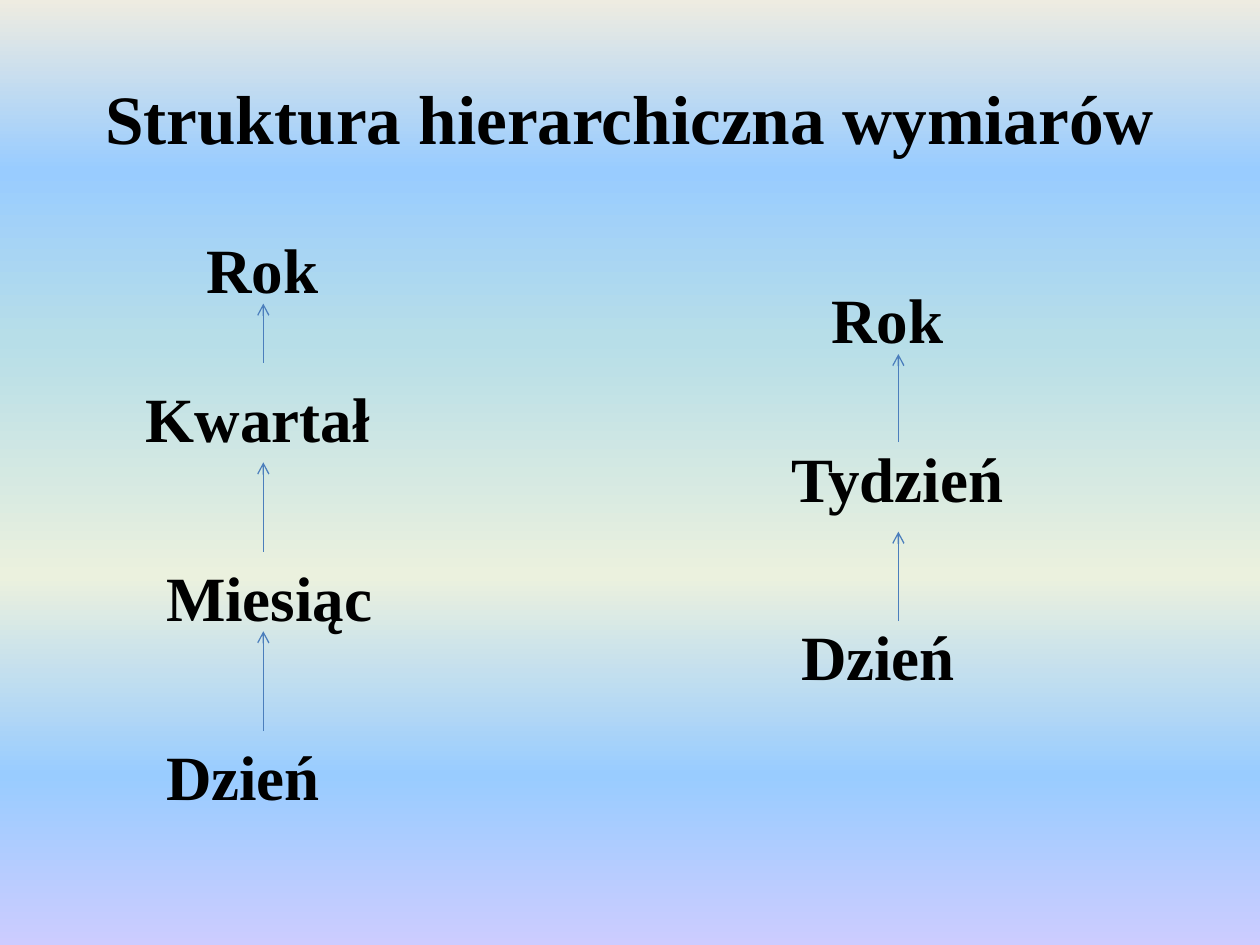
from lxml import etree
from pptx import Presentation
from pptx.dml.color import RGBColor
from pptx.enum.shapes import MSO_CONNECTOR
from pptx.enum.text import MSO_ANCHOR, PP_ALIGN
from pptx.oxml import parse_xml
from pptx.oxml.ns import nsdecls, qn
from pptx.util import Inches, Pt

BLACK = RGBColor(0x00, 0x00, 0x00)
ARROW_BLUE = RGBColor(0x4B, 0x7E, 0xBC)
CREAM = RGBColor(0xEE, 0xEC, 0xE1)
SKY = RGBColor(0x99, 0xCC, 0xFF)
AQUA = RGBColor(0xB7, 0xDE, 0xE8)
PALE_GREEN = RGBColor(0xEB, 0xF1, 0xDE)
LAVENDER = RGBColor(0xCC, 0xCC, 0xFF)

BACKGROUND_STOPS = [(0, CREAM), (18, SKY), (36, AQUA),
                    (61, PALE_GREEN), (82, SKY), (100, LAVENDER)]

LABEL_HEIGHT = 0.71
LABELS = [
    ("Rok", 1.54, 1.78, 1.42),
    ("Kwartał", 1.06, 2.96, 2.36),
    ("Miesiąc", 1.22, 4.38, 2.6),
    ("Dzień", 1.22, 5.8, 2.05),
    ("Rok", 6.5, 2.18, 1.42),
    ("Tydzień", 6.18, 3.44, 2.6),
    ("Dzień", 6.26, 4.85, 2.05),
]
ARROWS = [
    (2.09, 5.8, 5.01),
    (2.09, 4.38, 3.67),
    (2.09, 2.88, 2.41),
    (7.13, 4.93, 4.22),
    (7.13, 3.51, 2.81),
]


def add_text(slide, text, left, top, width, height, size):
    shape = slide.shapes.add_textbox(
        Inches(left), Inches(top), Inches(width), Inches(height))
    text_frame = shape.text_frame
    text_frame.word_wrap = True
    text_frame.text = text
    font = text_frame.paragraphs[0].runs[0].font
    font.name = "Times New Roman"
    font.size = Pt(size)
    font.bold = True
    font.color.rgb = BLACK
    return text_frame


presentation = Presentation()
presentation.slide_width = Inches(10)
presentation.slide_height = Inches(7.5)
slide = presentation.slides.add_slide(presentation.slide_layouts[6])

fill = slide.background.fill
fill.gradient()
fill.gradient_angle = 270
stop_list = next(slide.element.iter(qn("a:gsLst")))
for stop in list(stop_list):
    stop_list.remove(stop)
for position, color in BACKGROUND_STOPS:
    stop_list.append(parse_xml(
        f'<a:gs {nsdecls("a")} pos="{position * 1000}">'
        f'<a:srgbClr val="{color}"/></a:gs>'))

title = add_text(slide, "Struktura hierarchiczna wymiarów", 0.5, 0.3, 9, 1.25, 39.6)
title.vertical_anchor = MSO_ANCHOR.MIDDLE
title.paragraphs[0].alignment = PP_ALIGN.CENTER

for text, left, top, width in LABELS:
    add_text(slide, text, left, top, width, LABEL_HEIGHT, 36)

for x, start, end in ARROWS:
    arrow = slide.shapes.add_connector(
        MSO_CONNECTOR.STRAIGHT, Inches(x), Inches(start), Inches(x), Inches(end))
    arrow.line.color.rgb = ARROW_BLUE
    arrow.line.width = Pt(0.75)
    etree.SubElement(arrow.line._get_or_add_ln(), qn("a:tailEnd"), type="arrow")
    etree.SubElement(arrow._element.spPr, qn("a:effectLst"))

presentation.save("out.pptx")
